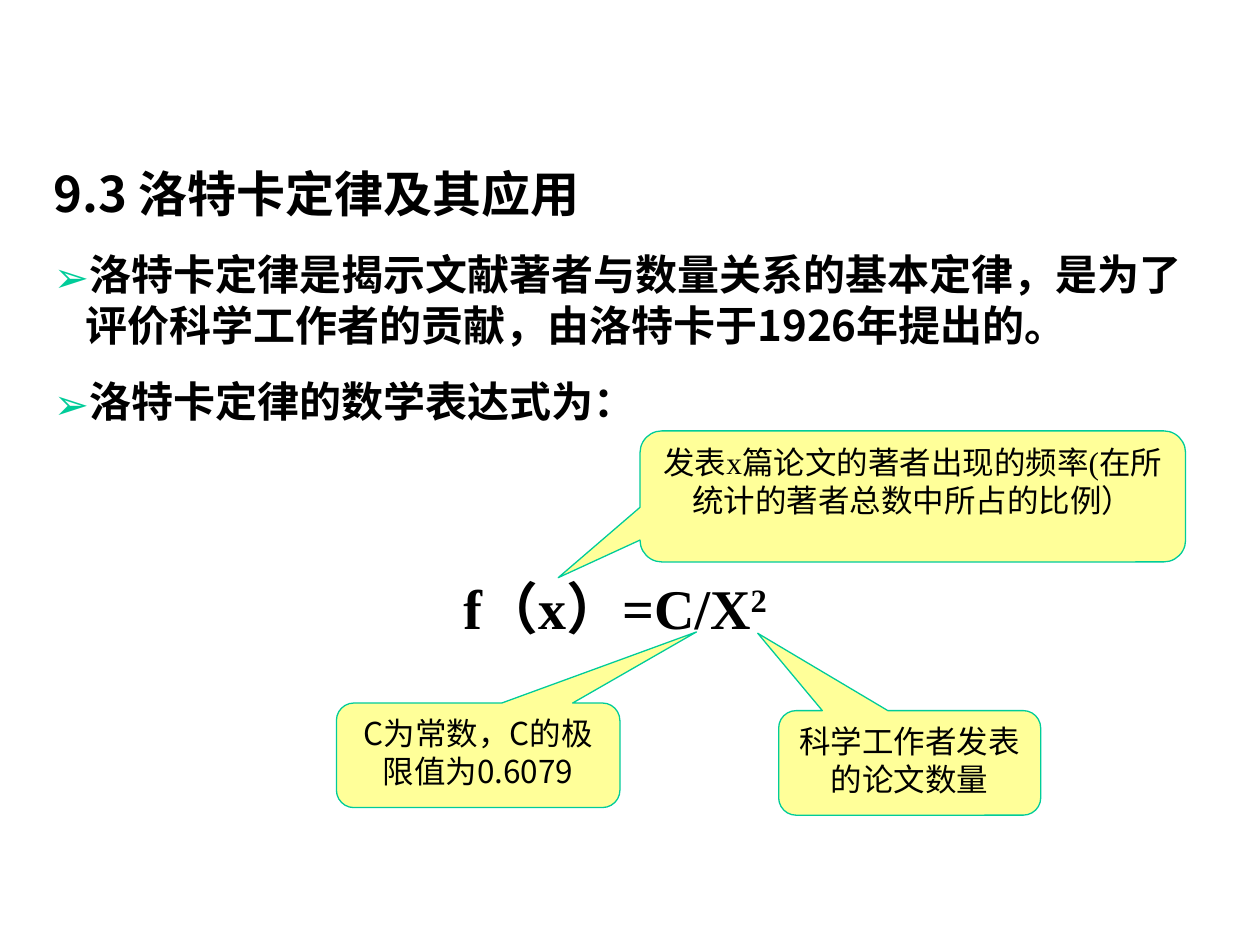
import pptx
import pptx.util
import pptx.dml.color
import pptx.enum.shapes
import pptx.enum.text
import pptx.oxml.ns
import lxml.etree

Inches = pptx.util.Inches
Pt = pptx.util.Pt
Align = pptx.enum.text.PP_ALIGN
SANS = "Noto Sans CJK SC"
SERIF = "Times New Roman"


def color(code):
    return pptx.dml.color.RGBColor.from_string(code)


def sub(parent, tag, **attrs):
    return lxml.etree.SubElement(parent, pptx.oxml.ns.qn(tag), **attrs)


class Deck:
    """Holds the style and the current slide."""

    ink, edge, fill = "000000", "00CC99", "FFFF99"

    def __init__(self, show):
        self.slide = show.slides.add_slide(show.slide_layouts[6])

    def style(self, para, size, face, bold=False):
        font = para.font
        font.size, font.name, font.bold = Pt(size), face, bold
        font.color.rgb = color(self.ink)
        base = para._p.pPr.find(pptx.oxml.ns.qn("a:defRPr"))
        sub(base, "a:ea", typeface=SANS)

    def bullet(self, para):
        props = para._p.get_or_add_pPr()
        props.set("marL", str(Inches(0.25)))
        props.set("indent", str(-Inches(0.25)))
        tint = sub(props, "a:buClr")
        sub(tint, "a:srgbClr", val=self.edge)
        sub(props, "a:buFont", typeface=SANS)
        sub(props, "a:buChar", char="➢")

    def box(self, left, top, width, height):
        shape = self.slide.shapes.add_textbox(
            Inches(left), Inches(top), Inches(width), Inches(height))
        shape.text_frame.word_wrap = True
        return shape.text_frame

    def body(self, place, title, points):
        frame = self.box(*place)
        para = frame.paragraphs[0]
        para.text = title
        para.space_before = Pt(15)
        self.style(para, 28, SANS, True)
        for point in points:
            para = frame.add_paragraph()
            para.text = point
            para.space_before = Pt(15)
            self.bullet(para)
            self.style(para, 24, SANS, True)

    def formula(self, place, text, power):
        para = self.box(*place).paragraphs[0]
        para.space_before = Pt(15)
        para.alignment = Align.JUSTIFY
        para.add_run().text = text
        top = para.add_run()
        top.text = power
        top.font._element.set("baseline", "30000")
        self.style(para, 32, SERIF, True)

    def callout(self, place, tip, text, face):
        kind = pptx.enum.shapes.MSO_SHAPE.ROUNDED_RECTANGULAR_CALLOUT
        shape = self.slide.shapes.add_shape(kind, *map(Inches, place))
        shape.shadow.inherit = False
        shape.adjustments[0], shape.adjustments[1] = tip
        shape.fill.solid()
        shape.fill.fore_color.rgb = color(self.fill)
        shape.line.color.rgb = color(self.edge)
        shape.line.width = Pt(0.75)
        frame = shape.text_frame
        frame.word_wrap = True
        frame.vertical_anchor = pptx.enum.text.MSO_ANCHOR.TOP
        para = frame.paragraphs[0]
        para.text = text
        para.alignment = Align.CENTER
        self.style(para, 18, face)


def main():
    show = pptx.Presentation()
    show.slide_width, show.slide_height = Inches(10), Inches(7.5)
    deck = Deck(show)
    deck.body((0.33, 1.25, 9.25, 2.19), "9.3 洛特卡定律及其应用", [
        "洛特卡定律是揭示文献著者与数量关系的基本定律，是为了评价科学工作者的贡献，由洛特卡于1926年提出的。",
        "洛特卡定律的数学表达式为：",
    ])
    deck.formula((3.58, 4.5, 3.5, 0.64), "f（x）=C/X", "2")
    for place, tip, text, face in [
        ((5.08, 3.42, 4.33, 1.04), (-0.65, 0.62),
         "发表x篇论文的著者出现的频率(在所统计的著者总数中所占的比例）", SERIF),
        ((6.18, 5.64, 2.08, 0.83), (-0.58, -1.24),
         "科学工作者发表的论文数量", SANS),
        ((2.67, 5.58, 2.25, 0.83), (0.77, -1.18),
         "C为常数，C的极限值为0.6079", SANS),
    ]:
        deck.callout(place, tip, text, face)
    show.save("out.pptx")


if __name__ == "__main__":
    main()
